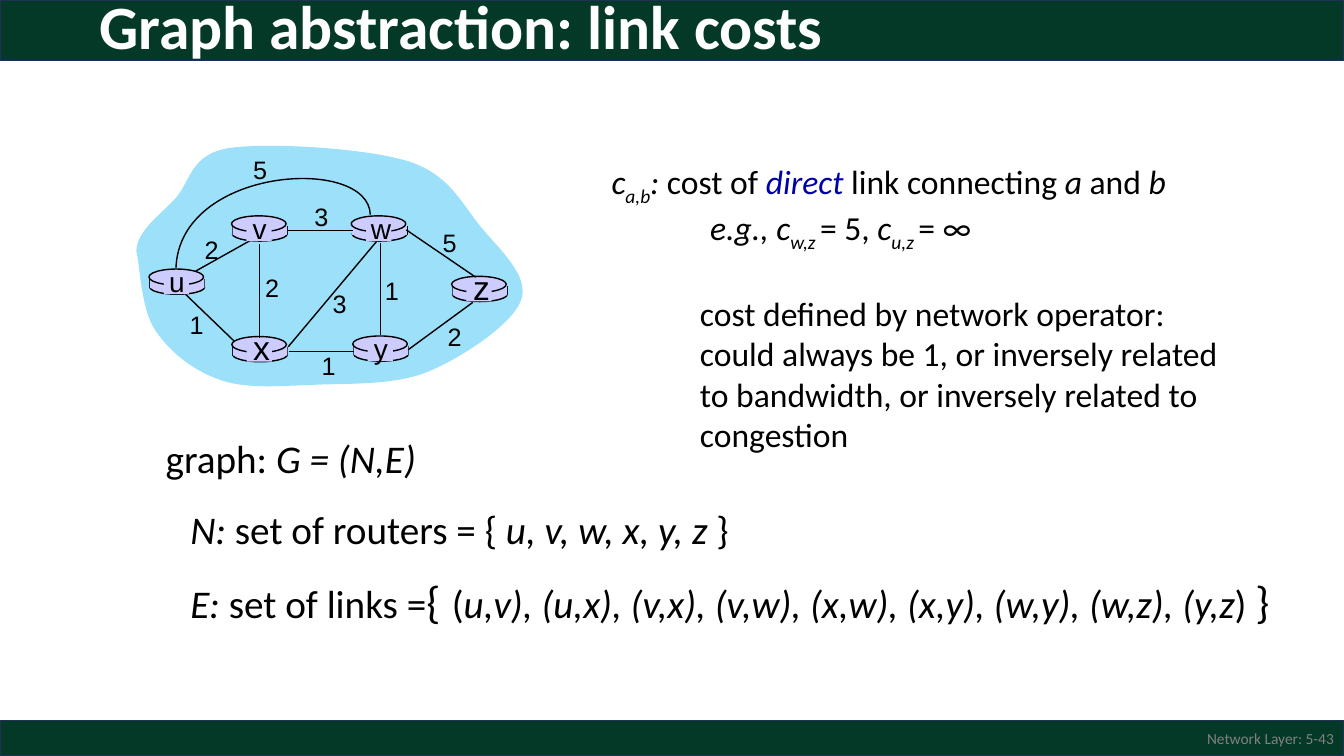
from dataclasses import dataclass
from pptx import Presentation
from pptx.dml.color import RGBColor as RGB
from pptx.enum.shapes import MSO_CONNECTOR as LINE, MSO_SHAPE as SHAPE
from pptx.enum.text import MSO_ANCHOR as ANCHOR, MSO_AUTO_SIZE as FIT, PP_ALIGN as ALIGN
from pptx.oxml.ns import qn
from pptx.util import Pt


@dataclass(frozen=True)
class Theme:
    band: str = "043927"
    edge: str = "1E3256"
    white: str = "FFFFFF"
    gray: str = "808080"
    black: str = "000000"
    blue: str = "0000A8"
    cloud: str = "9CE0FA"
    node: str = "CCCCFF"
    text: str = "Calibri"
    label: str = "Arial"
    title: int = 44
    large: int = 28
    body: int = 24
    node_size: int = 20
    cost: int = 18
    foot: int = 11


T = Theme()

# Router: left, top, label size
ROUTERS = {
    "u": (106.4, 192.2, 20), "v": (165.4, 154.2, 20), "w": (250.9, 154.2, 20),
    "x": (165.6, 240.4, 24), "y": (252, 240, 20), "z": (322.6, 197.4, 24),
}
# Link: start, end, cost, centre of the cost label
LINKS = [
    ((139.7, 193.7), (182.2, 169.9), "2", (151.2, 178.2)),
    ((185.3, 174.2), (185.3, 241.2), "2", (194.4, 205.2)),
    ((167, 243.4), (132.5, 210.2), "1", (140.4, 231.8)),
    ((205.9, 247.7), (269.3, 172.1), "3", (242.6, 216.7)),
    ((252.7, 251), (206.6, 251), "1", (234.7, 261)),
    ((272, 173.5), (272, 239), "1", (280, 207.4)),
    ((291.6, 249.8), (337.7, 216), "2", (324.7, 240.5)),
    ((339.8, 198), (290.2, 164.2), "5", (321.2, 173.5)),
    ((252, 164.6), (205.9, 164.6), "3", (229.5, 154.8)),
]
ARC = [(264.5, 153.4), (263.5, 110.9), (128.2, 118.8), (125.7, 191.5)]
# Cloud outline: start, then two handles and an end for each curve
CLOUD = [
    (97.4, 179.3), (97.9, 164.9), (113.8, 154.1), (125.3, 141.8),
    (136.1, 129.6), (136.1, 110.2), (163.4, 105.8),
    (191.5, 101.5), (261.4, 105.8), (291.6, 115.2),
    (321.1, 124.6), (329.8, 145.4), (343.4, 162),
    (357.1, 178.6), (378.7, 197.3), (372.2, 214.6),
    (365.8, 231.8), (329.8, 255.6), (305.3, 265.7),
    (280.1, 275.8), (246.2, 273.6), (221.8, 275),
    (196.6, 275.8), (174.2, 277.9), (155.5, 270.7),
    (137.5, 264.2), (120.2, 250.6), (110.2, 234.7),
    (100.8, 219.6), (100.1, 190.8), (97.4, 179.3),
]


def paint(shape, fill=None, line=None):
    shape.shadow.inherit = False
    for part, color in ((shape.fill, fill), (shape.line.fill, line)):
        if color:
            part.solid()
            part.fore_color.rgb = RGB.from_string(color)
        else:
            part.background()
    if line:
        shape.line.width = Pt(1)


def block(shapes, kind, box, fill, line=None):
    shape = shapes.add_shape(kind, *map(Pt, box))
    paint(shape, fill, line)


def link(shapes, start, end):
    line = shapes.add_connector(LINE.STRAIGHT, *map(Pt, start + end))
    line.line.color.rgb = RGB.from_string(T.black)
    line.line.width = Pt(1)
    props = line.element.spPr
    props.append(props.makeelement(qn("a:effectLst"), {}))


def curve(shapes, points, fill=None, line=None):
    pen = shapes.build_freeform(*map(Pt, points[0]))
    pen.add_line_segments([tuple(map(Pt, p)) for p in points[1:]], close=bool(fill))
    shape = pen.convert_to_shape()
    # Join every three line steps into one cubic curve
    steps = list(shape.element.iter(qn("a:lnTo")))
    for i in range(0, len(steps), 3):
        bend = steps[i].makeelement(qn("a:cubicBezTo"), {})
        steps[i].addprevious(bend)
        for step in steps[i:i + 3]:
            bend.append(step[0])
            step.getparent().remove(step)
    paint(shape, fill, line)


def style(run, size, color=T.black, font=T.text, bold=False):
    run.font.name = font
    run.font.size = Pt(size)
    run.font.bold = bold
    run.font.color.rgb = RGB.from_string(color)


def rich(para, parts, size):
    """Marks: i italic, s subscript, b blue; an optional third item is the size."""
    for words, marks, *own in parts:
        run = para.add_run()
        run.text = words
        style(run, own[0] if own else size, T.blue if "b" in marks else T.black)
        run.font.italic = "i" in marks
        if "s" in marks:
            run.font._element.set("baseline", "-25000")


def place(shape, box):
    shape.left, shape.top, shape.width, shape.height = map(Pt, box)


def text_box(shapes, box):
    frame = shapes.add_textbox(*map(Pt, box)).text_frame
    frame.word_wrap = True
    return frame


def note(shapes, words, box, size, color=T.black, font=T.text, align=ALIGN.CENTER):
    frame = text_box(shapes, box)
    frame.vertical_anchor = ANCHOR.MIDDLE
    frame.text = words
    para = frame.paragraphs[0]
    para.alignment = align
    style(para.runs[0], size, color, font)


def tag(shapes, words, x, y, size):
    wide, high = 26, size * 1.15 + 7.2
    note(shapes, words, (x - wide / 2, y - high / 2, wide, high), size, font=T.label)


def router(shapes, x, y):
    block(shapes, SHAPE.OVAL, (x + 0.7, y + 8, 39, 10), T.node, T.black)
    for side in (x + 0.7, x + 39.7):
        link(shapes, (side, y + 7.2), (side, y + 13.6))
    block(shapes, SHAPE.RECTANGLE, (x + 0.7, y + 7.2, 39, 6.4), T.node)
    block(shapes, SHAPE.OVAL, (x, y, 39, 11.4), T.node, T.black)


def network(shapes):
    curve(shapes, CLOUD, fill=T.cloud)
    for x, y, _ in ROUTERS.values():
        router(shapes, x, y)
    for start, end, _, _ in LINKS:
        link(shapes, start, end)
    curve(shapes, ARC, line=T.black)
    # Labels sit on plain patches over the routers
    for name, (x, y, size) in ROUTERS.items():
        block(shapes, SHAPE.RECTANGLE, (x + 10.6, y + 1.5, 18, 16.5), T.node)
        big = size > T.node_size
        tag(shapes, name, x + (21.2 if big else 20), y + (7.4 if big else 9), size)
    for _, _, cost, (x, y) in LINKS:
        tag(shapes, cost, x, y, T.cost)
    tag(shapes, "5", 185.8, 121.3, T.cost)


def heading(title, words):
    place(title, (63.8, -14.4, 540, 70.6))
    frame = title.text_frame
    frame.text = words
    frame.vertical_anchor = ANCHOR.MIDDLE
    frame.auto_size = FIT.NONE
    para = frame.paragraphs[0]
    para.alignment = ALIGN.LEFT
    para.line_spacing = 0.9
    style(para.runs[0], T.title, T.white, bold=True)
    title.element.getparent().append(title.element)


def listing(body, rows):
    place(body, (429.6, 111.6, 463.7, 211))
    frame = body.text_frame
    frame.auto_size = FIT.NONE
    for i, (indent, gap, parts) in enumerate(rows):
        para = frame.add_paragraph() if i else frame.paragraphs[0]
        para.space_before = Pt(gap)
        props = para._p.get_or_add_pPr()
        props.set("marL", str(Pt(indent)))
        props.set("indent", "0")
        props.append(props.makeelement(qn("a:buNone"), {}))
        rich(para, parts, T.body)


def main():
    deck = Presentation()
    deck.slide_width, deck.slide_height = Pt(960), Pt(540)
    slide = deck.slides.add_slide(deck.slide_layouts[1])
    shapes = slide.shapes

    # Bands, title and footer
    for top, high in ((514.8, 25.2), (0, 43.2)):
        block(shapes, SHAPE.RECTANGLE, (0, top, 960, high), T.band, T.edge)
    heading(shapes.title, "Graph abstraction: link costs")
    note(shapes, "Network Layer: 5-43", (744, 514.8, 216, 25.2), T.foot, T.gray, align=ALIGN.RIGHT)

    network(shapes.add_group_shape().shapes)

    # Link costs
    listing(slide.placeholders[1], [
        (0, 0, [("c", "i"), ("a,b", "is"), (": ", "i"), ("cost of ", ""), ("direct", "ib"),
                (" link connecting ", ""), ("a", "i"), (" and ", ""), ("b", "i")]),
        (70.4, 0, [("e.g., c", "i"), ("w,z ", "is"), ("= 5, ", ""), ("c", "i"),
                   ("u,z ", "is"), ("= ∞", "")]),
        (63.2, 28.5, [("cost defined by network operator: could always be 1, or inversely "
                       "related to bandwidth, or inversely related to congestion", "")]),
    ])

    # Graph definition
    for box, parts in (
        ((111.2, 306.7, 195, 41), [("graph: ", ""), ("G = (N,E)", "i")]),
        ((128.9, 357.1, 402.5, 41), [("N: ", "i"), ("set of routers = { ", ""),
                                     ("u, v, w, x, y, z ", "i"), ("}", "")]),
        ((128.9, 402.3, 795, 51), [
            ("E: ", "i"), ("set of links =", ""), ("{", "", 32), (" ", "", 36), ("(", ""),
            ("u,v), (u,x), (v,x), (v,w), (x,w), (x,y), (w,y), (w,z), (y,z", "i"),
            (") ", ""), ("}", "", 32)]),
    ):
        rich(text_box(shapes, box).paragraphs[0], parts, T.large)

    deck.save("out.pptx")


if __name__ == "__main__":
    main()
